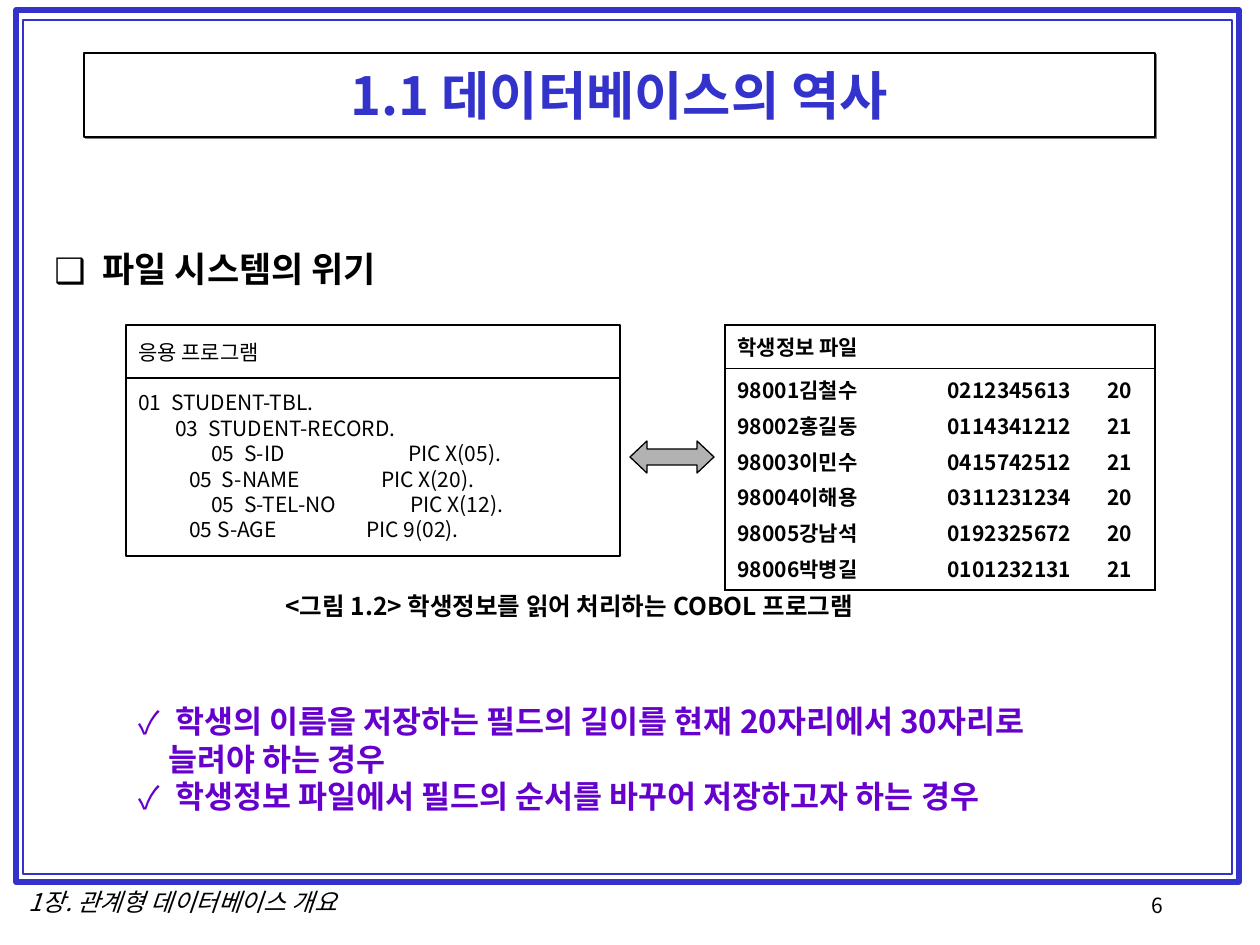
from pptx import Presentation
from pptx.dml.color import RGBColor
from pptx.enum.shapes import MSO_CONNECTOR, MSO_SHAPE
from pptx.enum.text import MSO_ANCHOR, PP_ALIGN
from pptx.oxml.ns import qn
from pptx.util import Inches, Pt
from lxml import etree

PX = Inches(1) / 126
FONT = "Noto Sans CJK KR"
BLACK = RGBColor(0, 0, 0)
WHITE = RGBColor(255, 255, 255)
BLUE = RGBColor(0x33, 0x33, 0xCC)
PURPLE = RGBColor(0x66, 0, 0xCC)
GRAY = RGBColor(0xB2, 0xB2, 0xB2)
RECT = MSO_SHAPE.RECTANGLE
ARROW = MSO_SHAPE.LEFT_RIGHT_ARROW
STRAIGHT = MSO_CONNECTOR.STRAIGHT
CENTER = PP_ALIGN.CENTER
LEFT = PP_ALIGN.LEFT
MIDDLE = MSO_ANCHOR.MIDDLE

# Each code line: indent, text, position of the PIC clause, PIC clause
CODE = [
    (0, "01  STUDENT-TBL.", 0, ""),
    (37, "03  STUDENT-RECORD.", 0, ""),
    (73, "05  S-ID", 270, "PIC X(05)."),
    (51, "05  S-NAME", 243, "PIC X(20)."),
    (73, "05  S-TEL-NO", 272, "PIC X(12)."),
    (51, "05 S-AGE", 228, "PIC 9(02)."),
]
STUDENTS = [
    ("98001김철수", "0212345613", "20"),
    ("98002홍길동", "0114341212", "21"),
    ("98003이민수", "0415742512", "21"),
    ("98004이해용", "0311231234", "20"),
    ("98005강남석", "0192325672", "20"),
    ("98006박병길", "0101232131", "21"),
]
CASES = [
    " 학생의 이름을 저장하는 필드의 길이를 현재 20자리에서 30자리로 늘려야 하는 경우",
    " 학생정보 파일에서 필드의 순서를 바꾸어 저장하고자 하는 경우",
]


def px(*lengths):
    return [round(n * PX) for n in lengths]


def add_xml(parent, tag, **attrs):
    return etree.SubElement(parent, qn(tag), attrs)


def set_font(font, size, color, bold=False, italic=False):
    font.name, font.size, font.bold, font.italic = FONT, Pt(size), bold, italic
    font.color.rgb = color
    add_xml(font._element, "a:ea", typeface=FONT)


def write(tf, lines, size, color=BLACK, bold=False, italic=False, align=LEFT,
          bullet=None, hang=0, before=0, spacing=None):
    for i, line in enumerate(lines):
        p = tf.paragraphs[0] if i == 0 else tf.add_paragraph()
        p.text = line
        p.alignment = align
        if spacing:
            p.line_spacing = spacing
        if i and before:
            p.space_before = Pt(before)
        if bullet:
            pPr = p._p.get_or_add_pPr()
            pPr.set("marL", str(px(hang)[0]))
            pPr.set("indent", str(-px(hang)[0]))
            add_xml(add_xml(pPr, "a:buClr"), "a:srgbClr", val=str(color))
            add_xml(pPr, "a:buFont", typeface=FONT)
            add_xml(pPr, "a:buChar", char=bullet)
        set_font(p.font, size, color, bold, italic)


def add_text(slide, box, lines, size, wrap=False, **style):
    tf = slide.shapes.add_textbox(*px(*box)).text_frame
    tf.word_wrap = wrap
    write(tf, lines, size, **style)


def add_shape(slide, kind, box, line, width, fill=None):
    sp = slide.shapes.add_shape(kind, *px(*box))
    sp.shadow.inherit = False
    sp.line.color.rgb = line
    sp.line.width = Pt(width)
    if fill is None:
        sp.fill.background()
    else:
        sp.fill.solid()
        sp.fill.fore_color.rgb = fill
    return sp


def format_title(title):
    title.left, title.top, title.width, title.height = px(84, 53, 1071, 84)
    title.fill.solid()
    title.fill.fore_color.rgb = WHITE
    title.line.color.rgb = BLACK
    title.line.width = Pt(0.75)
    effects = add_xml(title._element.spPr, "a:effectLst")
    shadow = add_xml(effects, "a:outerShdw", dist=str(Pt(1.4)), dir="2700000",
                     algn="ctr", rotWithShape="0")
    add_xml(shadow, "a:srgbClr", val="808080")
    title.text_frame.vertical_anchor = MIDDLE
    write(title.text_frame, ["1.1 데이터베이스의 역사"], 30, BLUE, bold=True,
          align=CENTER)


def add_program(slide):
    sp = add_shape(slide, RECT, (126, 325, 494, 231), BLACK, 0.75)
    tf = sp.text_frame
    tf.vertical_anchor = MIDDLE
    tf.word_wrap = False
    write(tf, ["응용 프로그램"], 12, spacing=Pt(14.5))
    for i, (indent, text, pic_at, pic) in enumerate(CODE):
        p = tf.add_paragraph()
        p.text = ("\t" if indent else "") + text + ("\t" + pic if pic else "")
        p.alignment = LEFT
        p.line_spacing = Pt(14.5)
        if i == 0:
            p.space_before = Pt(14.5)
        tabs = add_xml(p._p.get_or_add_pPr(), "a:tabLst")
        for stop in filter(None, (indent, pic_at)):
            add_xml(tabs, "a:tab", pos=str(px(stop)[0]), algn="l")
        set_font(p.font, 12, BLACK)
    # Rule below the heading
    line = slide.shapes.add_connector(STRAIGHT, *px(126, 378, 620, 378))
    line.line.color.rgb = BLACK
    line.line.width = Pt(0.75)
    add_xml(line._element.spPr, "a:effectLst")


def set_borders(cell, **widths):
    tcPr = cell._tc.get_or_add_tcPr()
    for side in "LRTB":
        width = widths.get(side, 0)
        ln = add_xml(tcPr, "a:ln" + side, w=str(Pt(width)))
        if width:
            add_xml(add_xml(ln, "a:solidFill"), "a:srgbClr", val=str(BLACK))
        else:
            add_xml(ln, "a:noFill")
    cell.fill.background()


def add_student_table(slide):
    frame = slide.shapes.add_table(2, 3, *px(725, 325, 430, 265))
    table = frame.table
    table.first_row = table.horz_banding = False
    for column, width in zip(table.columns, px(210, 160, 60)):
        column.width = width
    for row, height in zip(table.rows, px(43, 222)):
        row.height = height
    outer, inner = 1.08, 0.45
    head = table.cell(0, 0)
    head.merge(table.cell(0, 2))
    set_borders(head, L=outer, R=outer, T=outer, B=inner)
    write(head.text_frame, ["학생정보 파일"], 12, bold=True)
    for c, values in enumerate(zip(*STUDENTS)):
        cell = table.cell(1, c)
        set_borders(cell, L=outer if c == 0 else 0, R=outer if c == 2 else 0,
                    T=inner, B=outer)
        write(cell.text_frame, values, 12, bold=True, before=3)


def main():
    prs = Presentation()
    prs.slide_width, prs.slide_height = Inches(10), Inches(7.5)
    slide = prs.slides.add_slide(prs.slide_layouts[5])

    # Page frame and footer
    add_shape(slide, RECT, (16, 10, 1223, 872), BLUE, 3)
    add_shape(slide, RECT, (23, 20, 1209, 854), BLUE, 1)
    add_text(slide, (1139, 886, 128, 42), ["6"], 12)
    add_text(slide, (6, 881, 354, 43), ["1장. 관계형 데이터베이스 개요"], 14,
             italic=True, align=CENTER)

    # Title and heading
    format_title(slide.shapes.title)
    add_text(slide, (42, 241, 1176, 60), ["파일 시스템의 위기"], 20, wrap=True,
             bold=True, bullet="❑", hang=48)

    # Program, arrow and student file
    add_program(slide)
    add_student_table(slide)
    arrow = add_shape(slide, ARROW, (630, 441, 84, 32), BLACK, 0.75, GRAY)
    arrow.adjustments[1] = 0.53
    add_text(slide, (273, 585, 627, 43),
             ["<그림 1.2> 학생정보를 읽어 처리하는 COBOL 프로그램"], 14, bold=True)

    # Cases that break the file system
    add_text(slide, (126, 696, 998, 155), CASES, 18, wrap=True, color=PURPLE,
             bold=True, bullet="✓", hang=30, spacing=Pt(21.5))

    prs.save("out.pptx")


if __name__ == "__main__":
    main()
